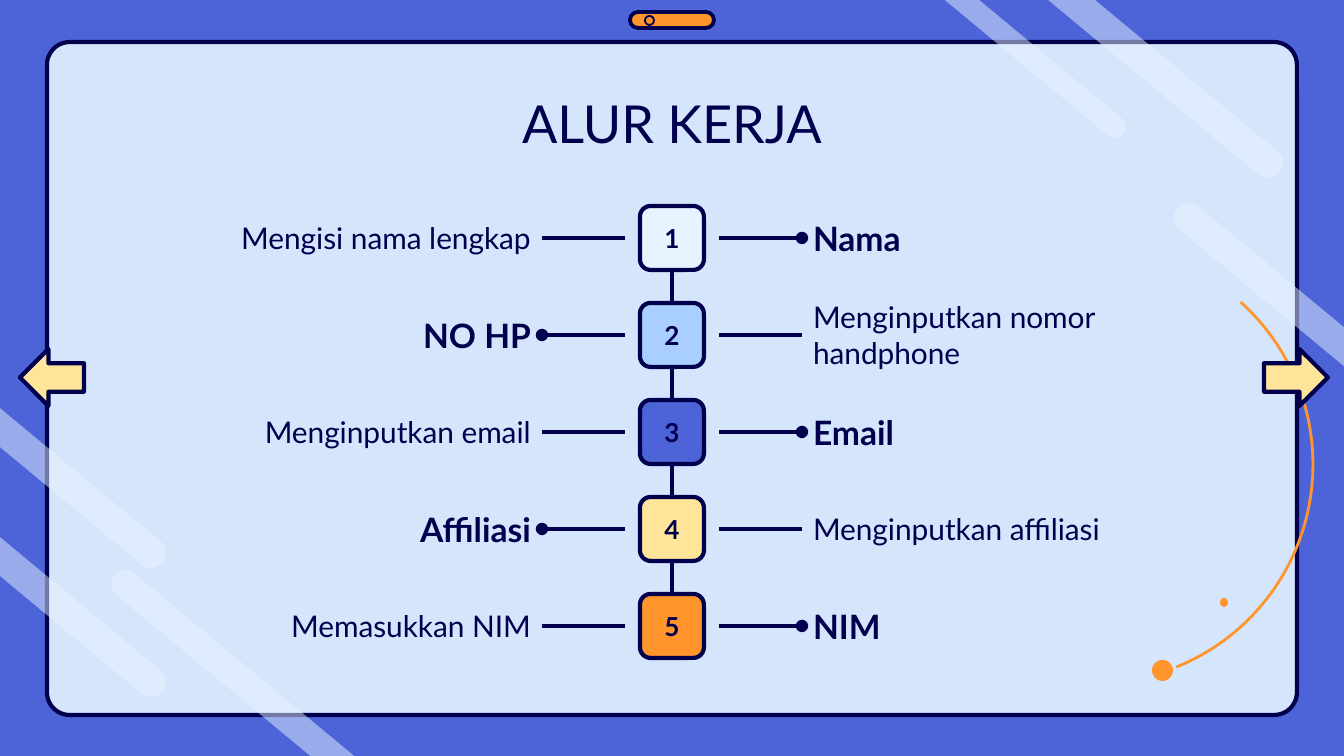
"""Build the ALUR KERJA slide: a five-step workflow on a decorated panel."""
import math
from typing import NamedTuple, Optional

from lxml import etree
from pptx import Presentation, util as u
from pptx.dml.color import RGBColor
from pptx.enum import shapes, text
from pptx.oxml import ns

W, H = 1344, 756
SCALE = 9144000 / W
COLORS = {
    "navy": "00004D", "blue": "4C64D8", "panel": "D5E6FC", "ice": "E9F3FF",
    "sky": "A8CFFF", "cream": "FFE599", "orange": "FF952B",
}
SHAPE = shapes.MSO_SHAPE
ALIGN = text.PP_ALIGN
ANCHOR = text.MSO_ANCHOR
STREAK_ANGLE = math.radians(39.7)
TOP, PITCH, BADGE = 206, 97, 64
MIDDLE = W // 2
TEXT_W, INSET = 422, 13


class Box(NamedTuple):
    x: int
    y: int
    w: int
    h: int


class Streak(NamedTuple):
    x: int
    y: int
    r: int
    edge: str


class Step(NamedTuple):
    left: str
    right: str
    color: str
    heading_left: bool


class Decor(NamedTuple):
    kind: SHAPE
    box: Box
    fill: Optional[str]
    line: Optional[str] = None
    width: float = 2.25
    adj: tuple = ()


STREAKS = [
    Streak(1268, 163, 15, "top"), Streak(1115, 127, 11, "top"),
    Streak(125, 584, 14, "bottom"), Streak(151, 682, 15, "left"),
    Streak(151, 553, 15, "left"), Streak(1189, 218, 15, "right"),
]
STEPS = [
    Step("Mengisi nama lengkap", "Nama", "ice", False),
    Step("NO HP", "Menginputkan nomor handphone", "sky", True),
    Step("Menginputkan email", "Email", "blue", False),
    Step("Affiliasi", "Menginputkan affiliasi", "cream", True),
    Step("Memasukkan NIM", "NIM", "orange", False),
]
FRAME = [
    Decor(SHAPE.ROUNDED_RECTANGLE, Box(630, 12, 84, 16), "orange", "navy", 2, (0.5,)),
    Decor(SHAPE.OVAL, Box(645, 16, 9, 9), None, "navy", 1),
    Decor(SHAPE.ROUNDED_RECTANGLE, Box(47, 42, 1250, 673), "panel", "navy", adj=(0.034,)),
]
ORBIT = [
    Decor(SHAPE.ARC, Box(876, 246, 437, 437), None, "orange", 1.5, (312 * 0.6, 68 * 0.6)),
    Decor(SHAPE.OVAL, Box(1220, 598, 8, 9), "orange"),
    Decor(SHAPE.OVAL, Box(1152, 660, 21, 21), "orange"),
]
ARROWS = [
    Decor(SHAPE.LEFT_ARROW, Box(20, 349, 64, 57), "cream", "navy"),
    Decor(SHAPE.RIGHT_ARROW, Box(1264, 349, 64, 57), "cream", "navy"),
]


def px(value: float) -> u.Emu:
    """Turn px into EMU."""
    return u.Emu(round(value * SCALE))


def rgb(name: str) -> RGBColor:
    """Look up a named colour."""
    return RGBColor.from_string(COLORS[name])


def write(tf, content: str, *, size: int, bold: bool = False, align=ALIGN.LEFT,
          anchor=ANCHOR.MIDDLE, inset_y: int = INSET) -> None:
    """Put one formatted paragraph into a text frame."""
    tf.word_wrap = True
    tf.auto_size = text.MSO_AUTO_SIZE.NONE
    tf.vertical_anchor = anchor
    tf.margin_left = tf.margin_right = px(INSET)
    tf.margin_top = tf.margin_bottom = px(inset_y)
    p = tf.paragraphs[0]
    p.alignment = align
    r = p.add_run()
    r.text = content
    r.font.name, r.font.size, r.font.bold = "Lato", u.Pt(size), bold
    r.font.color.rgb = rgb("navy")


def paint(sp, fill: Optional[str], line: Optional[str] = None, width: float = 2.25) -> None:
    """Set fill and line, and drop the shadow."""
    sp.shadow.inherit = False
    if fill:
        sp.fill.solid()
        sp.fill.fore_color.rgb = rgb(fill)
    else:
        sp.fill.background()
    if line:
        sp.line.color.rgb = rgb(line)
        sp.line.width = u.Pt(width)
    else:
        sp.line.fill.background()


def draw(s, item: Decor):
    """Draw one preset shape."""
    sp = s.shapes.add_shape(item.kind, *map(px, item.box))
    for i, value in enumerate(item.adj):
        sp.adjustments[i] = value
    paint(sp, item.fill, item.line, item.width)
    return sp


def draw_streak(s, streak: Streak) -> None:
    """Draw a translucent round-capped band running off one slide edge."""
    sign = 1 if streak.edge in ("top", "left") else -1
    dx, dy = sign * math.cos(STREAK_ANGLE), sign * math.sin(STREAK_ANGLE)
    heading = math.atan2(dy, dx)
    turns = [heading + math.radians(a) for a in range(-90, 91, 15)]
    cap = [(streak.x + streak.r * math.cos(t), streak.y + streak.r * math.sin(t)) for t in turns]

    def to_edge(x: float, y: float) -> tuple[float, float]:
        """Follow the band's side back to the slide edge."""
        limit = {"top": 0, "left": 0, "bottom": H, "right": W}[streak.edge]
        if streak.edge in ("top", "bottom"):
            return x + (limit - y) * dx / dy, limit
        return limit, y + (limit - x) * dy / dx

    outline = [to_edge(*cap[0]), *cap, to_edge(*cap[-1])]
    points = [(px(x), px(y)) for x, y in outline]
    builder = s.shapes.build_freeform(*points[0])
    builder.add_line_segments(points[1:], close=True)
    sp = builder.convert_to_shape()
    paint(sp, "ice")
    color = sp.fill._xPr.find(".//" + ns.qn("a:srgbClr"))
    etree.SubElement(color, ns.qn("a:alpha"), val="50000")


def add_line(s, x1: int, y1: int, x2: int, y2: int, dot: bool = False):
    """Draw a navy line, with an oval at its far end if asked."""
    c = s.shapes.add_connector(shapes.MSO_CONNECTOR.STRAIGHT, *map(px, (x1, y1, x2, y2)))
    c.line.color.rgb = rgb("navy")
    c.line.width = u.Pt(2.25)
    if dot:
        etree.SubElement(c.line._get_or_add_ln(), ns.qn("a:tailEnd"), type="oval")
    etree.SubElement(c._element.spPr, ns.qn("a:effectLst"))
    return c


def draw_step(s, number: int, step: Step):
    """Draw one row: two labels, two lines and the numbered badge."""
    y = TOP + PITCH * (number - 1)
    mid = y + BADGE // 2
    sides = [
        (step.left, 122, ALIGN.RIGHT, -1, step.heading_left),
        (step.right, 800, ALIGN.LEFT, 1, not step.heading_left),
    ]
    for label, x, align, side, heading in sides:
        tf = s.shapes.add_textbox(*map(px, (x, y, TEXT_W, BADGE))).text_frame
        write(tf, label, size=18 if heading else 16, bold=heading, align=align,
              inset_y=0 if heading else INSET)
        add_line(s, MIDDLE + side * 47, mid, MIDDLE + side * 130, mid, dot=heading)
    box = Box(MIDDLE - BADGE // 2, y, BADGE, BADGE)
    badge = draw(s, Decor(SHAPE.ROUNDED_RECTANGLE, box, step.color, "navy", adj=(0.167,)))
    write(badge.text_frame, str(number), size=14, bold=True, align=ALIGN.CENTER)
    return badge


def main() -> None:
    """Build and save the slide."""
    prs = Presentation()
    prs.slide_width, prs.slide_height = px(W), px(H)
    s = prs.slides.add_slide(prs.slide_layouts[5])
    s.background.fill.solid()
    s.background.fill.fore_color.rgb = rgb("blue")
    for item in FRAME:
        draw(s, item)
    for streak in STREAKS:
        draw_streak(s, streak)
    for item in ORBIT:
        draw(s, item)
    title = s.shapes.title
    title.left, title.top, title.width, title.height = map(px, (106, 78, 1132, 85))
    write(title.text_frame, "ALUR KERJA", size=28, align=ALIGN.CENTER, anchor=ANCHOR.TOP)
    s.shapes.element.append(title.element)
    spine = add_line(s, MIDDLE, TOP, MIDDLE, TOP + 4 * PITCH + BADGE)
    badges = [draw_step(s, n, step) for n, step in enumerate(STEPS, 1)]
    spine.begin_connect(badges[0], 0)
    spine.end_connect(badges[-1], 2)
    for item in ARROWS:
        draw(s, item)
    prs.save("out.pptx")


if __name__ == "__main__":
    main()
